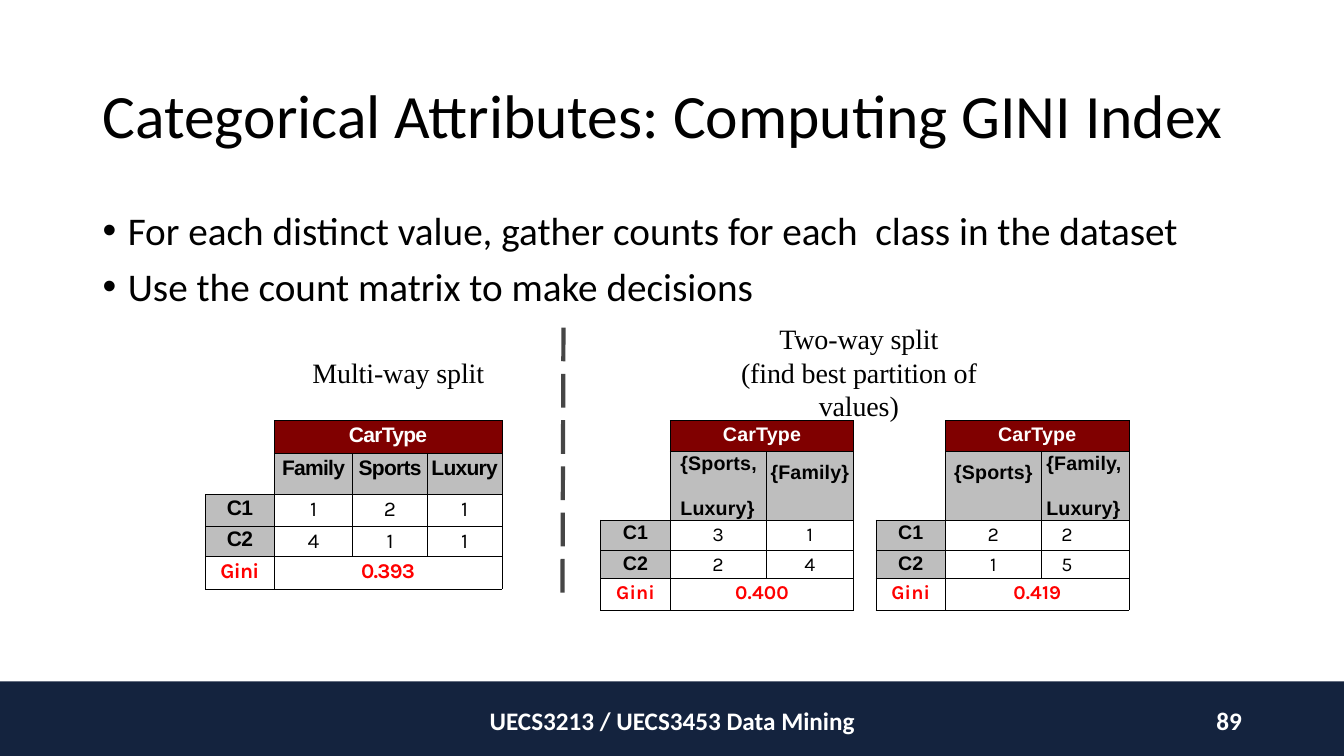
from dataclasses import dataclass
from typing import Optional

from lxml.etree import SubElement
from pptx import Presentation
from pptx.dml.color import RGBColor
from pptx.enum.dml import MSO_LINE_DASH_STYLE as Dash
from pptx.enum.shapes import MSO_CONNECTOR as Connector, MSO_SHAPE as Preset
from pptx.enum.text import MSO_ANCHOR as Anchor, PP_ALIGN as Align
from pptx.oxml import parse_xml
from pptx.oxml.ns import nsdecls, qn
from pptx.util import Inches, Pt

COLUMNS, ROWS = 133.33, 75
BLACK, WHITE, RED = "000000", "FFFFFF", "FF0000"
MAROON, GREY, NAVY, DASH_GREY = "800000", "BEBEBE", "14233E", "464646"


@dataclass(frozen=True)
class Style:
    font: str
    size: float
    colour: str = BLACK
    bold: bool = False
    spacing: float = 0


@dataclass(frozen=True)
class Label:
    lines: tuple[str, ...]
    column: float
    row: float
    width: float
    height: float
    style: Style
    align: Align = Align.LEFT
    anchor: Anchor = Anchor.TOP
    inset: tuple[float, float] = (1, 0.5)
    bullet: bool = False


@dataclass(frozen=True)
class Split:
    column: float
    widths: tuple[float, ...]
    heights: tuple[float, ...]
    values: tuple[str, ...]
    counts: tuple[tuple[int, ...], ...]
    gini: str
    size: float
    spacing: float
    value_inset: float = 0
    last_count_inset: float = 0


HEADING = Style("Calibri", 44)
BODY = Style("Calibri", 28)
FOOTER = Style("Calibri", 18, WHITE, True)
CAPTION = Style("Times New Roman", 20, spacing=-0.1)

LABELS = (
    Label(("Categorical Attributes: Computing GINI Index",),
          9.2, 4, 115, 14.5, HEADING, anchor=Anchor.MIDDLE),
    Label(("For each distinct value, gather counts for each  class in the dataset",
           "Use the count matrix to make decisions"),
          9.2, 20, 115, 47.6, BODY, bullet=True),
    Label(("Multi-way split",), 31, 35, 18, 3.5, CAPTION, inset=(0, 0.3)),
    Label(("Two-way split", "(find best partition of values)"),
          69.7, 31.6, 31, 6.9, CAPTION, Align.CENTER, inset=(0, 0.3)),
    Label(("UECS3213 / UECS3453 Data Mining",),
          44.2, 69.5, 45, 4, FOOTER, Align.CENTER, Anchor.MIDDLE),
    Label(("89",), 94.2, 69.5, 30, 4, FOOTER, Align.RIGHT, Anchor.MIDDLE),
)

TWO_WAY = dict(widths=(6.9, 9.5, 8.7), heights=(3.1, 6.7, 3, 2.8, 3.1), size=14, spacing=0.1)
SPLITS = (
    Split(20.4, (6.8, 7.8, 7.4, 7.4), (3.3, 3.2, 3.1, 3, 3.3), ("Family", "Sports", "Luxury"),
          ((1, 2, 1), (4, 1, 1)), "0.393", 15, -0.5),
    Split(59.6, values=("{Sports,\nLuxury}", "{Family}"),
          counts=((3, 1), (2, 4)), gini="0.400", value_inset=1, **TWO_WAY),
    Split(86.9, values=("{Sports}", "{Family,\nLuxury}"), counts=((2, 2), (1, 5)),
          gini="0.419", value_inset=0.5, last_count_inset=3.6, **TWO_WAY),
)
SPLIT_ROW = 41.7


def grid(units: float) -> int:
    """Convert grid columns or rows to a length."""
    return Inches(units / 10)


def colour(hex_code: str) -> RGBColor:
    """Turn a hex string into a colour."""
    return RGBColor.from_string(hex_code)


def write(paragraph, text: str, style: Style, align: Align) -> None:
    """Fill one paragraph and format its run."""
    paragraph.text = text
    paragraph.alignment = align
    for run in paragraph.runs:
        run.font.name = style.font
        run.font.size = Pt(style.size)
        run.font.bold = style.bold
        run.font.color.rgb = colour(style.colour)
        run.font._element.set("spc", str(round(style.spacing * 100)))


def add_bullet(paragraph) -> None:
    """Give a paragraph a hanging round bullet."""
    properties = paragraph._p.get_or_add_pPr()
    properties.set("marL", str(grid(2.5)))
    properties.set("indent", str(grid(-2.5)))
    SubElement(properties, qn("a:buFont")).set("typeface", "Arial")
    SubElement(properties, qn("a:buChar")).set("char", "•")


def add_label(slide, label: Label) -> None:
    """Place one text box on the slide."""
    box = slide.shapes.add_textbox(grid(label.column), grid(label.row),
                                   grid(label.width), grid(label.height))
    frame = box.text_frame
    frame.word_wrap = True
    frame.vertical_anchor = label.anchor
    side, end = label.inset
    frame.margin_left = frame.margin_right = grid(side)
    frame.margin_top = frame.margin_bottom = grid(end)
    frame.text = "\n".join(label.lines)
    for index, (paragraph, line) in enumerate(zip(frame.paragraphs, label.lines)):
        if label.bullet:
            add_bullet(paragraph)
            if index:
                paragraph.space_before = Pt(6)
        write(paragraph, line, label.style, label.align)


def set_borders(cell, hidden: str) -> None:
    """Draw the cell's borders, leaving out the hidden sides."""
    properties = cell._tc.get_or_add_tcPr()
    for index, side in enumerate("LRTB"):
        width = Pt(0.5 if side in "LR" else 0.25)
        fill = ("<a:noFill/>" if side in hidden
                else f'<a:solidFill><a:srgbClr val="{BLACK}"/></a:solidFill>')
        properties.insert(index, parse_xml(
            f'<a:ln{side} {nsdecls("a")} w="{width}">{fill}</a:ln{side}>'))


def fill_cell(cell, text: str, style: Style, fill: Optional[str] = None, top: float = 0.3,
              left: float = 0, right: float = 0) -> None:
    """Write a cell's text, with stacked lines set apart and aligned left."""
    cell.margin_top, cell.margin_bottom = grid(top), 0
    cell.margin_left, cell.margin_right = grid(left), grid(right)
    if fill:
        cell.fill.solid()
        cell.fill.fore_color.rgb = colour(fill)
    lines = text.split("\n")
    cell.text_frame.text = text
    for index, (paragraph, line) in enumerate(zip(cell.text_frame.paragraphs, lines)):
        write(paragraph, line, style, Align.LEFT if len(lines) > 1 else Align.CENTER)
        if len(lines) > 1:
            paragraph.line_spacing = Pt(16.3)
        if index:
            paragraph.space_before = Pt(16.3)


def add_split(slide, split: Split) -> None:
    """Draw the count matrix of one split."""
    frame = slide.shapes.add_table(
        len(split.heights), len(split.widths), grid(split.column), grid(SPLIT_ROW),
        grid(sum(split.widths)), grid(sum(split.heights)))
    table = frame.table
    table.first_row = table.horz_banding = False
    for column, width in zip(table.columns, split.widths):
        column.width = grid(width)
    for row, height in zip(table.rows, split.heights):
        row.height = grid(height)
    for cell in table.iter_cells():
        cell.fill.background()

    last = len(split.widths) - 1
    table.cell(0, 0).merge(table.cell(1, 0))
    table.cell(0, 1).merge(table.cell(0, last))
    table.cell(4, 1).merge(table.cell(4, last))

    head = Style("Arial", split.size, BLACK, True, split.spacing)
    title = Style("Arial", split.size, WHITE, True, split.spacing)
    count_style = Style("Karla", split.size)
    result = Style("Karla", split.size, RED, True, split.spacing)
    fill_cell(table.cell(0, 1), "CarType", title, MAROON)
    stacked = any("\n" in value for value in split.values)
    for column, value in enumerate(split.values, 1):
        if "\n" in value:
            fill_cell(table.cell(1, column), value, head, GREY, 0, split.value_inset)
        else:
            fill_cell(table.cell(1, column), value, head, GREY, 1 if stacked else 0.3)
    for row, counts in enumerate(split.counts, 2):
        fill_cell(table.cell(row, 0), f"C{row - 1}", head, GREY, 0.2)
        for column, count in enumerate(counts, 1):
            right = split.last_count_inset if column == last else 0
            fill_cell(table.cell(row, column), str(count), count_style, right=right)
    fill_cell(table.cell(4, 0), "Gini", result)
    fill_cell(table.cell(4, 1), split.gini, result)

    corner_hidden = {(0, 0): "LTB", (1, 0): "LT"}
    for row in range(len(split.heights)):
        for column in range(len(split.widths)):
            set_borders(table.cell(row, column), corner_hidden.get((row, column), ""))


def add_footer_band(slide) -> None:
    """Draw the dark band along the bottom."""
    band = slide.shapes.add_shape(Preset.RECTANGLE, 0, grid(67.6),
                                  grid(COLUMNS), grid(ROWS - 67.6))
    band.shadow.inherit = False
    band.fill.solid()
    band.fill.fore_color.rgb = colour(NAVY)
    band.line.fill.background()


def add_divider(slide) -> None:
    """Draw the dashed line between the two kinds of split."""
    divider = slide.shapes.add_connector(Connector.STRAIGHT, grid(55.9), grid(32.5),
                                         grid(55.8), grid(59.2))
    divider.line.color.rgb = colour(DASH_GREY)
    divider.line.width = Pt(3)
    divider.line.dash_style = Dash.LONG_DASH
    SubElement(divider._element.spPr, qn("a:effectLst"))


def main() -> None:
    """Build the slide and save it."""
    deck = Presentation()
    deck.slide_width, deck.slide_height = grid(COLUMNS), grid(ROWS)
    slide = deck.slides.add_slide(deck.slide_layouts[6])
    add_footer_band(slide)
    for split in SPLITS:
        add_split(slide, split)
    add_divider(slide)
    for label in LABELS:
        add_label(slide, label)
    deck.save("out.pptx")


if __name__ == "__main__":
    main()
